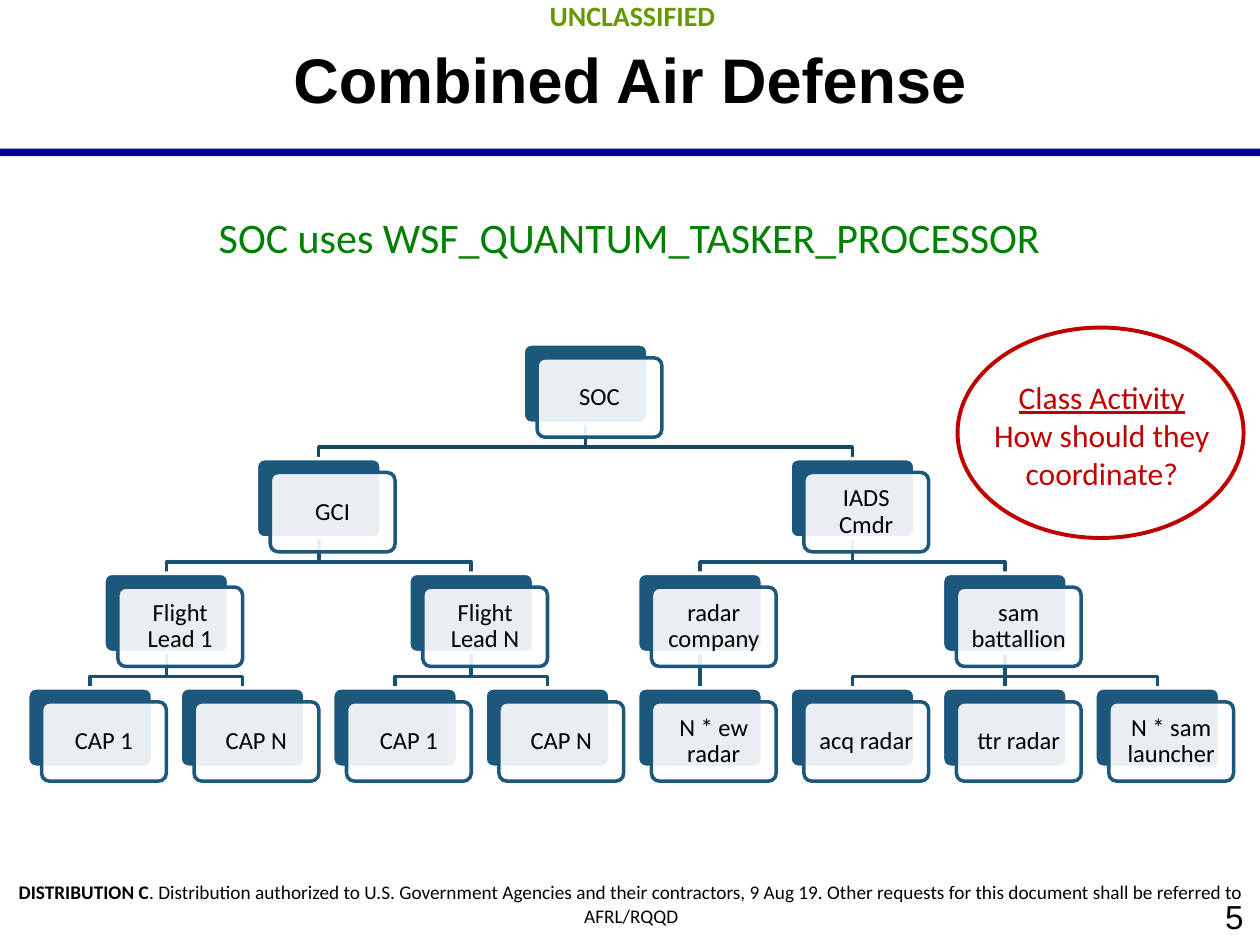
"""Build the Combined Air Defense command hierarchy slide."""
from dataclasses import dataclass, field

from lxml.etree import SubElement
from pptx import Presentation
from pptx.dml.color import RGBColor
from pptx.enum.shapes import MSO_CONNECTOR, MSO_SHAPE
from pptx.enum.text import MSO_ANCHOR, PP_ALIGN
from pptx.oxml.ns import qn
from pptx.util import Inches, Pt

COLORS = {
    "black": "000000",
    "white": "FFFFFF",
    "navy": "000099",
    "marking": "669900",
    "green": "008000",
    "red": "C00000",
    "card": "1B587C",
    "root_link": "164663",
    "link": "195071",
}
WIDE_MARGINS = (0.13, 0.07)
BOX_MARGINS = (0.1, 0.05)
CARD_MARGINS = (0.08, 0.08)

LEAF_LEFT, LEAF_PITCH = 0.22, 1.21
ROOT_TOP, LEVEL_PITCH = 2.73, 0.91
CARD_WIDTH, CARD_HEIGHT = 0.99, 0.63
CARD_OFFSET, LINK_DROP = 0.11, 0.19

HIERARCHY = ("SOC", [
    ("GCI", [
        ("Flight Lead 1", [("CAP 1", []), ("CAP N", [])]),
        ("Flight Lead N", [("CAP 1", []), ("CAP N", [])]),
    ]),
    ("IADS Cmdr", [
        ("radar company", [("N * ew radar", [])]),
        ("sam battallion", [
            ("acq radar", []), ("ttr radar", []), ("N * sam launcher", []),
        ]),
    ]),
])


@dataclass
class Unit:
    """A placed unit of the hierarchy with its back card."""
    label: str
    level: int
    left: float
    children: list = field(default_factory=list)
    card: object = None

    @property
    def top(self):
        return ROOT_TOP + LEVEL_PITCH * self.level

    @property
    def center(self):
        return self.left + CARD_WIDTH / 2


def set_values(target, values):
    for name, value in values.items():
        setattr(target, name, value)


def color(name):
    return RGBColor.from_string(COLORS[name])


def write_text(shape, paragraphs, size, color_name, font="Calibri",
               align=PP_ALIGN.CENTER, anchor=MSO_ANCHOR.TOP,
               margins=BOX_MARGINS, spacing=1.0, wrap=True):
    """Fill a shape with paragraphs made of (text, run format) pairs."""
    side, edge = (Inches(margin) for margin in margins)
    frame = shape.text_frame
    set_values(frame, {
        "word_wrap": wrap, "vertical_anchor": anchor,
        "margin_left": side, "margin_right": side,
        "margin_top": edge, "margin_bottom": edge,
    })
    for index, runs in enumerate(paragraphs):
        paragraph = frame.add_paragraph() if index else frame.paragraphs[0]
        set_values(paragraph, {"alignment": align, "line_spacing": spacing})
        for text, run_format in runs:
            run = paragraph.add_run()
            run.text = text
            set_values(run.font, {"name": font, "size": Pt(size), **run_format})
            run.font.color.rgb = color(color_name)


def add_text(slide, box, paragraphs, size, color_name, **options):
    shape = slide.shapes.add_textbox(*map(Inches, box))
    write_text(shape, paragraphs, size, color_name, **options)


def add_shape(slide, kind, box, fill=None, line=None, width=2):
    shape = slide.shapes.add_shape(kind, *map(Inches, box))
    shape.shadow.inherit = False
    if fill:
        shape.fill.solid()
        shape.fill.fore_color.rgb = color(fill)
    else:
        shape.fill.background()
    if line:
        shape.line.color.rgb = color(line)
        shape.line.width = Pt(width)
    else:
        shape.line.fill.background()
    return shape


def set_opacity(shape, percent):
    fill_color = shape.element.spPr.find(qn("a:solidFill"))[0]
    SubElement(fill_color, qn("a:alpha")).set("val", str(percent * 1000))


def add_title(slide, text):
    title = slide.shapes.title
    set_values(title, {"left": Inches(0.5), "top": Inches(0),
                       "width": Inches(9), "height": Inches(1.25)})
    write_text(title, [[(text, {"bold": True})]], 36, "black", font="Arial",
               anchor=MSO_ANCHOR.MIDDLE, margins=WIDE_MARGINS)


def place_unit(node, leaf_slots, level=0):
    """Place leaves in even slots and each parent midway over its children."""
    label, branches = node
    children = [place_unit(branch, leaf_slots, level + 1) for branch in branches]
    if children:
        left = (children[0].left + children[-1].left) / 2
    else:
        left = LEAF_LEFT + LEAF_PITCH * next(leaf_slots)
    return Unit(label, level, left, children)


def add_card(slide, unit):
    size = (CARD_WIDTH, CARD_HEIGHT)
    unit.card = add_shape(slide, MSO_SHAPE.ROUNDED_RECTANGLE,
                          (unit.left, unit.top, *size), "card", "white")
    front = add_shape(slide, MSO_SHAPE.ROUNDED_RECTANGLE,
                      (unit.left + CARD_OFFSET, unit.top + CARD_OFFSET, *size),
                      "white", "card")
    for card in (unit.card, front):
        card.adjustments[0] = 0.1
    set_opacity(front, 90)
    write_text(front, [[(unit.label, {})]], 14, "black", spacing=0.9,
               anchor=MSO_ANCHOR.MIDDLE, margins=CARD_MARGINS)


def add_straight_link(slide, parent, child):
    link = slide.shapes.add_connector(MSO_CONNECTOR.STRAIGHT, 0, 0, 0, 0)
    link.begin_connect(parent.card, 2)
    link.end_connect(child.card, 0)
    SubElement(link.element.spPr, qn("a:effectLst"))
    return link


def add_elbow_link(slide, parent, child):
    start = parent.top + CARD_HEIGHT
    points = [(parent.center, start), (parent.center, start + LINK_DROP),
              (child.center, start + LINK_DROP), (child.center, child.top)]
    corners = [(Inches(x), Inches(y)) for x, y in points]
    builder = slide.shapes.build_freeform(*corners[0])
    builder.add_line_segments(corners[1:], close=False)
    link = builder.convert_to_shape()
    link.shadow.inherit = False
    link.fill.background()
    return link


def add_link(slide, parent, child):
    """Link two units behind all the cards."""
    aligned = abs(parent.center - child.center) < 0.01
    link = (add_straight_link if aligned else add_elbow_link)(slide, parent, child)
    link.line.color.rgb = color("link" if parent.level else "root_link")
    link.line.width = Pt(2)
    link.element.getparent().insert(2, link.element)


def add_hierarchy(slide, unit):
    add_card(slide, unit)
    for child in unit.children:
        add_hierarchy(slide, child)
        add_link(slide, unit, child)


def main():
    presentation = Presentation()
    set_values(presentation, {"slide_width": Inches(10), "slide_height": Inches(7.5)})
    slide = presentation.slides.add_slide(presentation.slide_layouts[5])
    add_title(slide, "Combined Air Defense")
    add_shape(slide, MSO_SHAPE.RECTANGLE, (0, 1.18, 10, 0.06), "navy")
    add_text(slide, (0.02, -0.08, 10, 0.4), [[("UNCLASSIFIED", {"bold": True})]],
             16, "marking", margins=WIDE_MARGINS)
    add_text(slide, (0, 6.92, 10.02, 0.5), [[
        ("DISTRIBUTION C", {"bold": True}),
        (". Distribution authorized to U.S. Government Agencies and their "
         "contractors, 9 Aug 19. Other requests for this document shall be "
         "referred to AFRL/RQQD", {}),
    ]], 11, "black", margins=WIDE_MARGINS)
    add_text(slide, (8, 7.05, 2, 0.45), [[("5", {})]], 19, "black", font="Arial",
             align=PP_ALIGN.RIGHT, anchor=MSO_ANCHOR.MIDDLE, margins=WIDE_MARGINS)
    add_hierarchy(slide, place_unit(HIERARCHY, iter(range(8))))
    add_text(slide, (0.84, 1.63, 8.31, 0.5),
             [[("SOC uses WSF_QUANTUM_TASKER_PROCESSOR", {})]], 24, "green", wrap=False)
    add_shape(slide, MSO_SHAPE.OVAL, (7.6, 2.6, 2.27, 1.67), line="red", width=2.25)
    add_text(slide, (7.71, 2.95, 2.07, 1.01),
             [[("Class Activity", {"underline": True})],
              [("How should they coordinate?", {})]], 18, "red")
    presentation.save("out.pptx")


if __name__ == "__main__":
    main()
